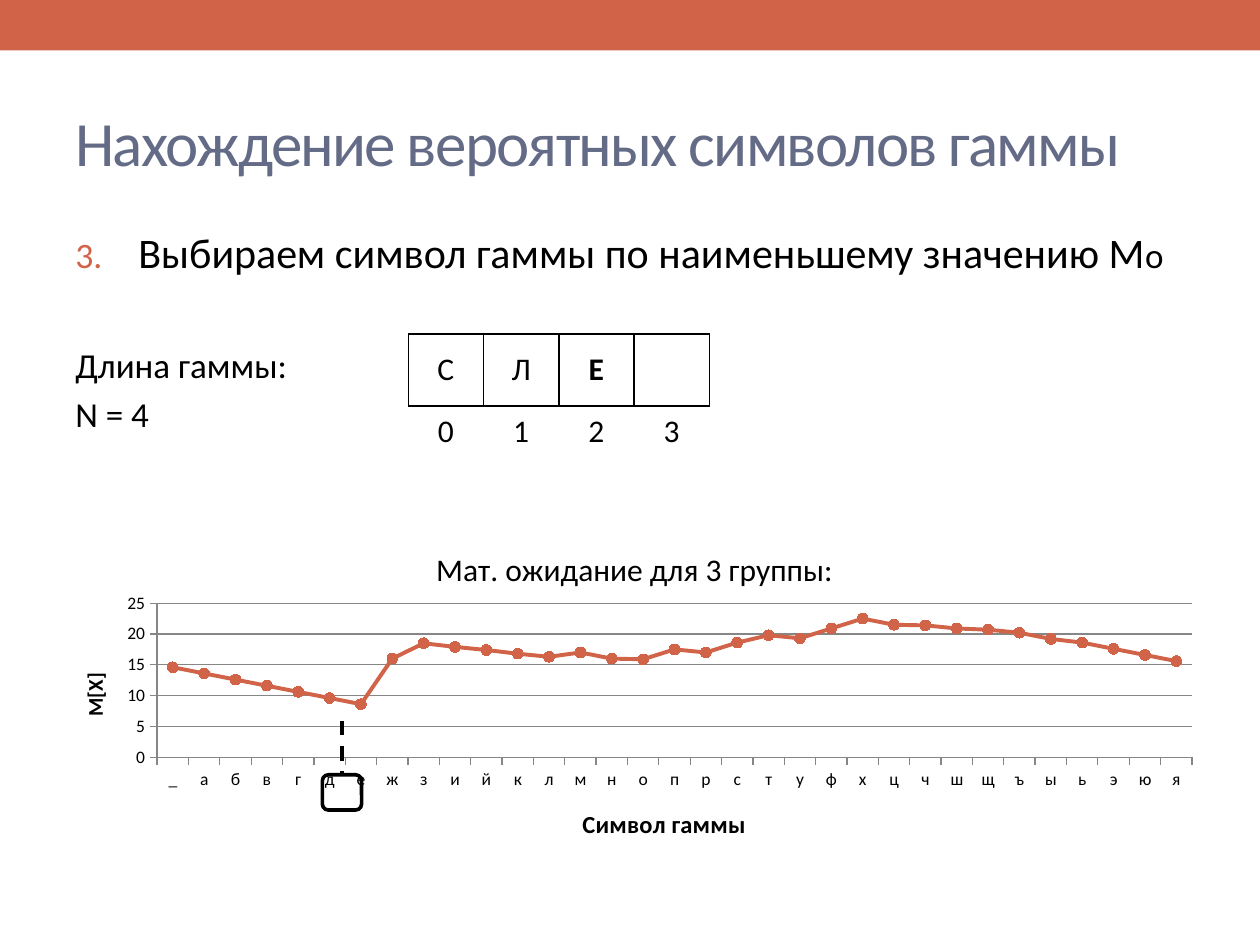
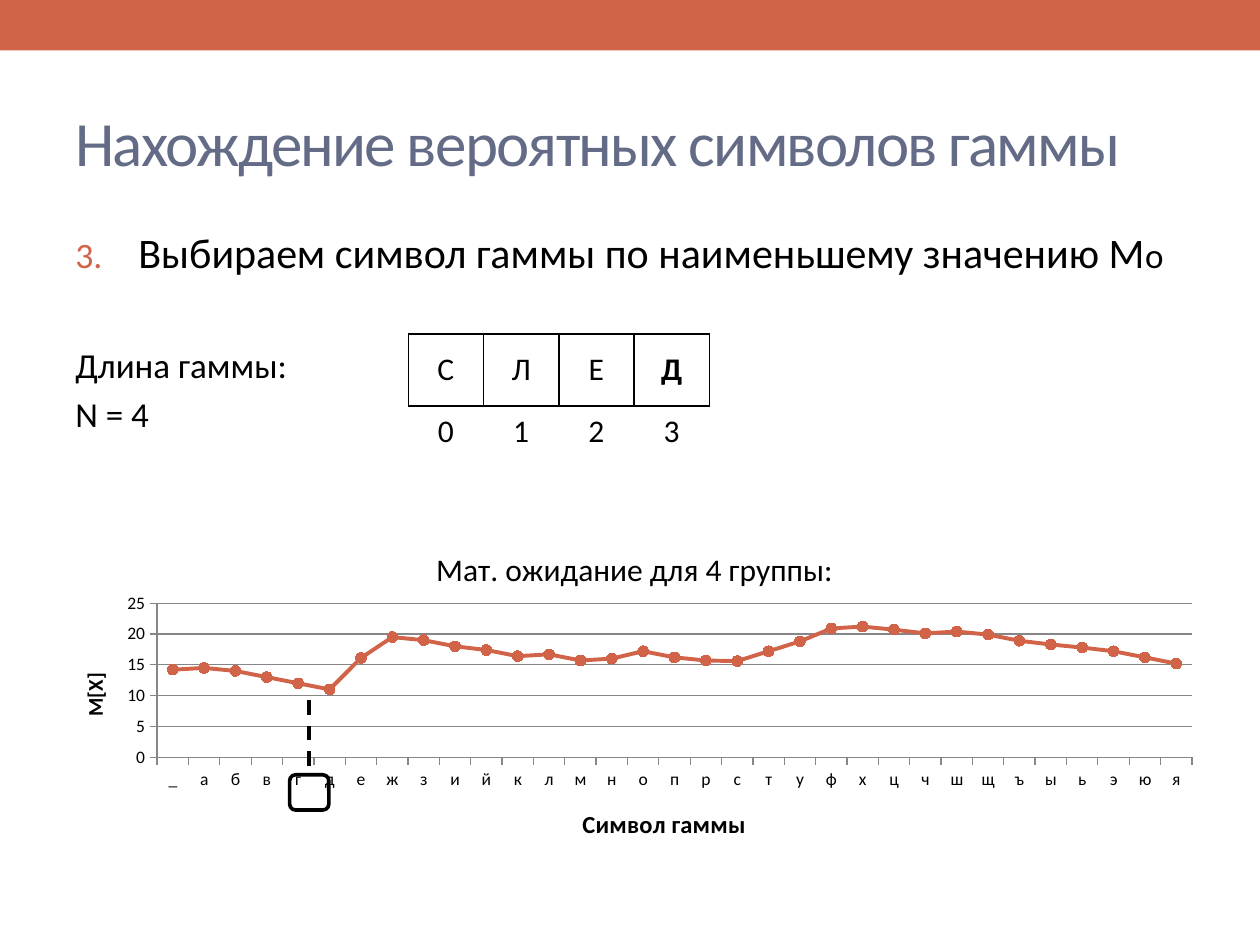
from collections import namedtuple

from lxml.etree import SubElement
from pptx import Presentation
from pptx.chart.data import CategoryChartData as ChartData
from pptx.dml.color import RGBColor
from pptx.enum.chart import XL_CHART_TYPE as ChartType
from pptx.enum.chart import XL_MARKER_STYLE as Marker
from pptx.enum.chart import XL_TICK_MARK as Tick
from pptx.enum.dml import MSO_LINE_DASH_STYLE as Dash
from pptx.enum.shapes import MSO_CONNECTOR as Connector
from pptx.enum.shapes import MSO_SHAPE as Shape
from pptx.enum.text import MSO_ANCHOR as Anchor
from pptx.enum.text import PP_ALIGN as Align
from pptx.oxml.ns import qn
from pptx.util import Cm, Pt

Box = namedtuple("Box", "left top width height")

FONT = "Calibri"
ACCENT = RGBColor(0xD1, 0x63, 0x49)
SLATE = RGBColor(0x64, 0x6B, 0x86)
BLACK = RGBColor(0, 0, 0)
GRID = RGBColor(0x86, 0x86, 0x86)

BAND = Box(0, 0, 25.4, 1.02)
TITLE = Box(1.27, 1.47, 22.86, 2.74)
BODY = Box(1.27, 4.45, 22.86, 13.54)
KEY = Box(8.23, 6.73, 6.07, 2.9)
CHART = Box(0.89, 10.52, 23.6, 6.81)

HEADING = "Нахождение вероятных символов гаммы"
LETTERS = "_абвгдежзийклмнопрстуфхцчшщъыьэюя"

GROUPS = [
    {
        "number": 3, "key": ["С", "Л", "Е", ""], "found": 2,
        "means": [14.6, 13.6, 12.6, 11.6, 10.6, 9.6, 8.6, 16, 18.5, 17.9, 17.4,
                  16.8, 16.3, 17, 16, 15.9, 17.5, 17, 18.6, 19.8, 19.3, 20.9,
                  22.5, 21.5, 21.4, 20.9, 20.7, 20.2, 19.2, 18.6, 17.6, 16.6, 15.6],
        "pointer": Box(6.5, 14.53, 0.79, 1.8),
    },
    {
        "number": 4, "key": ["С", "Л", "E", "Д"], "found": 3,
        "means": [14.2, 14.5, 14, 13, 12, 11, 16.1, 19.5, 19, 18, 17.4, 16.4,
                  16.7, 15.7, 16, 17.2, 16.2, 15.7, 15.6, 17.2, 18.8, 20.9,
                  21.2, 20.7, 20.1, 20.4, 19.9, 18.9, 18.3, 17.8, 17.2, 16.2, 15.2],
        "pointer": Box(5.84, 14.12, 0.79, 2.21),
    },
]


def lengths(box):
    """Turn a box in centimetres into slide lengths."""
    return [Cm(value) for value in box]


def set_values(target, values):
    """Set attributes from a dict of format values."""
    for name, value in values.items():
        setattr(target, name, value)


def style_font(font, size, color=BLACK, bold=False):
    """Give a font the deck's typeface, a size, a weight and a colour."""
    set_values(font, {"name": FONT, "size": Pt(size), "bold": bold})
    font.color.rgb = color


def add_span(para, text, size, color=BLACK, bold=False):
    """Append a formatted run to a paragraph."""
    span = para.add_run()
    span.text = text
    style_font(span.font, size, color, bold)
    return span


def hang(para):
    """Give a paragraph a hanging indent."""
    properties = para._p.get_or_add_pPr()
    properties.set("marL", str(Cm(1.27)))
    properties.set("indent", str(-Cm(1.27)))
    return properties


def add_band(page, box):
    """Draw the coloured strip along the top edge."""
    band = page.shapes.add_shape(Shape.RECTANGLE, *lengths(box))
    band.shadow.inherit = False
    band.fill.solid()
    band.fill.fore_color.rgb = ACCENT
    band.line.fill.background()


def add_title(page, box):
    """Write the slide heading."""
    frame = page.shapes.add_textbox(*lengths(box)).text_frame
    set_values(frame, {"word_wrap": True, "vertical_anchor": Anchor.MIDDLE})
    para = frame.paragraphs[0]
    hang(para)
    span = add_span(para, HEADING, 36, SLATE)
    span._r.get_or_add_rPr().set("spc", "-100")


def add_body(page, box):
    """Write the numbered step and the key length below it."""
    frame = page.shapes.add_textbox(*lengths(box)).text_frame
    frame.word_wrap = True
    step = frame.paragraphs[0]
    step.space_before = Pt(4.8)
    properties = hang(step)
    color = SubElement(properties, qn("a:buClr"))
    SubElement(color, qn("a:srgbClr"), val=str(ACCENT))
    SubElement(properties, qn("a:buSzPct"), val="85000")
    SubElement(properties, qn("a:buFont"), typeface="+mj-lt")
    SubElement(properties, qn("a:buAutoNum"), type="arabicPeriod", startAt="3")
    add_span(step, "Выбираем символ гаммы по наименьшему значению М", 24)
    add_span(step, "о", 20)
    for text, gap in (("Длина гаммы:", 38), ("N = 4", 4)):
        para = frame.add_paragraph()
        para.space_before = Pt(gap)
        add_span(para, text, 20)


def set_borders(cell, drawn):
    """Draw the named sides of a cell in black and clear the others."""
    properties = cell._tc.get_or_add_tcPr()
    for place, side in enumerate(("L", "R", "T", "B")):
        line = SubElement(properties, qn(f"a:ln{side}"), w=str(Pt(1)))
        if side in drawn:
            fill = SubElement(line, qn("a:solidFill"))
            SubElement(fill, qn("a:srgbClr"), val=str(BLACK))
        else:
            SubElement(line, qn("a:noFill"))
        properties.insert(place, line)


def add_key_table(page, box, key, found):
    """Show the key letters found so far above their positions."""
    table = page.shapes.add_table(2, len(key), *lengths(box)).table
    set_values(table, {"first_row": False, "horz_banding": False})
    for column, letter in enumerate(key):
        rows = ((letter, column == found, Anchor.MIDDLE, "LRTB"),
                (str(column), False, Anchor.TOP, "T"))
        for row, (text, bold, anchor, sides) in enumerate(rows):
            cell = table.cell(row, column)
            cell.vertical_anchor = anchor
            cell.fill.background()
            set_borders(cell, sides)
            para = cell.text_frame.paragraphs[0]
            para.alignment = Align.CENTER
            if text:
                add_span(para, text, 18, bold=bold)


def place_part(part, **fractions):
    """Fix a chart part at fractions of the chart's size."""
    for old in part.findall(qn("c:layout")):
        part.remove(old)
    layout = SubElement(part, qn("c:layout"))
    part.insert(0 if part.find(qn("c:tx")) is None else 1, layout)
    manual = SubElement(layout, qn("c:manualLayout"))
    if "w" in fractions:
        SubElement(manual, qn("c:layoutTarget"), val="inner")
    for name in ("xMode", "yMode"):
        SubElement(manual, qn(f"c:{name}"), val="edge")
    for name, value in fractions.items():
        SubElement(manual, qn(f"c:{name}"), val=str(value))


def write_chart_title(title, text, size, bold, x, y):
    """Fill, style and place a chart or axis title."""
    add_span(title.text_frame.paragraphs[0], text, size, bold=bold)
    place_part(title._element, x=x, y=y)


def add_chart(page, box, number, means):
    """Plot the expected value for every letter of the alphabet."""
    data = ChartData()
    data.categories = list(LETTERS)
    data.add_series("M[X]", means)
    chart = page.shapes.add_chart(
        ChartType.LINE_MARKERS, *lengths(box), data).chart
    style_font(chart.font, 10)
    set_values(chart, {"has_legend": False, "has_title": True})
    write_chart_title(chart.chart_title, f"Мат. ожидание для {number} группы:",
                      18, False, 0.33, 0.06)
    place_part(chart._chartSpace.chart.plotArea, x=0.0965, y=0.241, w=0.884, h=0.456)

    letters, values = chart.category_axis, chart.value_axis
    write_chart_title(letters.axis_title, "Символ гаммы", 14, True, 0.456, 0.83)
    write_chart_title(values.axis_title, "M[X]", 12, True, 0.028, 0.436)
    rotation = values.axis_title.text_frame._txBody.bodyPr
    rotation.set("rot", "-5400000")
    rotation.set("vert", "horz")
    set_values(values, {"minimum_scale": 0, "maximum_scale": 25, "major_unit": 5,
                        "has_major_gridlines": True})
    for axis in (letters, values):
        axis.major_tick_mark = Tick.OUTSIDE
    for rule in (letters.format, values.format, values.major_gridlines.format):
        rule.line.color.rgb = GRID
        rule.line.width = Pt(0.75)

    plot = chart.plots[0]
    plot.vary_by_categories = False
    series = plot.series[0]
    series.smooth = False
    series.format.line.color.rgb = ACCENT
    series.format.line.width = Pt(2.25)
    set_values(series.marker, {"style": Marker.CIRCLE, "size": 6})
    series.marker.format.fill.solid()
    series.marker.format.fill.fore_color.rgb = ACCENT
    series.marker.format.line.color.rgb = ACCENT


def add_pointer(page, box):
    """Frame the chosen letter and drop a dashed line onto the frame."""
    frame_height = 0.71
    frame_top = box.top + box.height - frame_height
    middle = box.left + box.width / 2
    frame = page.shapes.add_shape(
        Shape.ROUNDED_RECTANGLE,
        *lengths((box.left, frame_top, box.width, frame_height)))
    frame.shadow.inherit = False
    frame.fill.background()
    drop = page.shapes.add_connector(
        Connector.STRAIGHT, *lengths((middle, box.top, middle, frame_top)))
    for shape in (frame, drop):
        shape.line.color.rgb = BLACK
        shape.line.width = Pt(2.08)
    drop.line.dash_style = Dash.DASH
    SubElement(drop._element.spPr, qn("a:effectLst"))


def add_group_page(deck, group):
    """Build the slide that picks the key letter of one group."""
    page = deck.slides.add_slide(deck.slide_layouts[6])
    add_band(page, BAND)
    add_title(page, TITLE)
    add_body(page, BODY)
    add_key_table(page, KEY, group["key"], group["found"])
    add_chart(page, CHART, group["number"], group["means"])
    add_pointer(page, group["pointer"])


deck = Presentation()
set_values(deck, {"slide_width": Cm(25.4), "slide_height": Cm(19.05)})
for group in GROUPS:
    add_group_page(deck, group)
deck.save("out.pptx")
